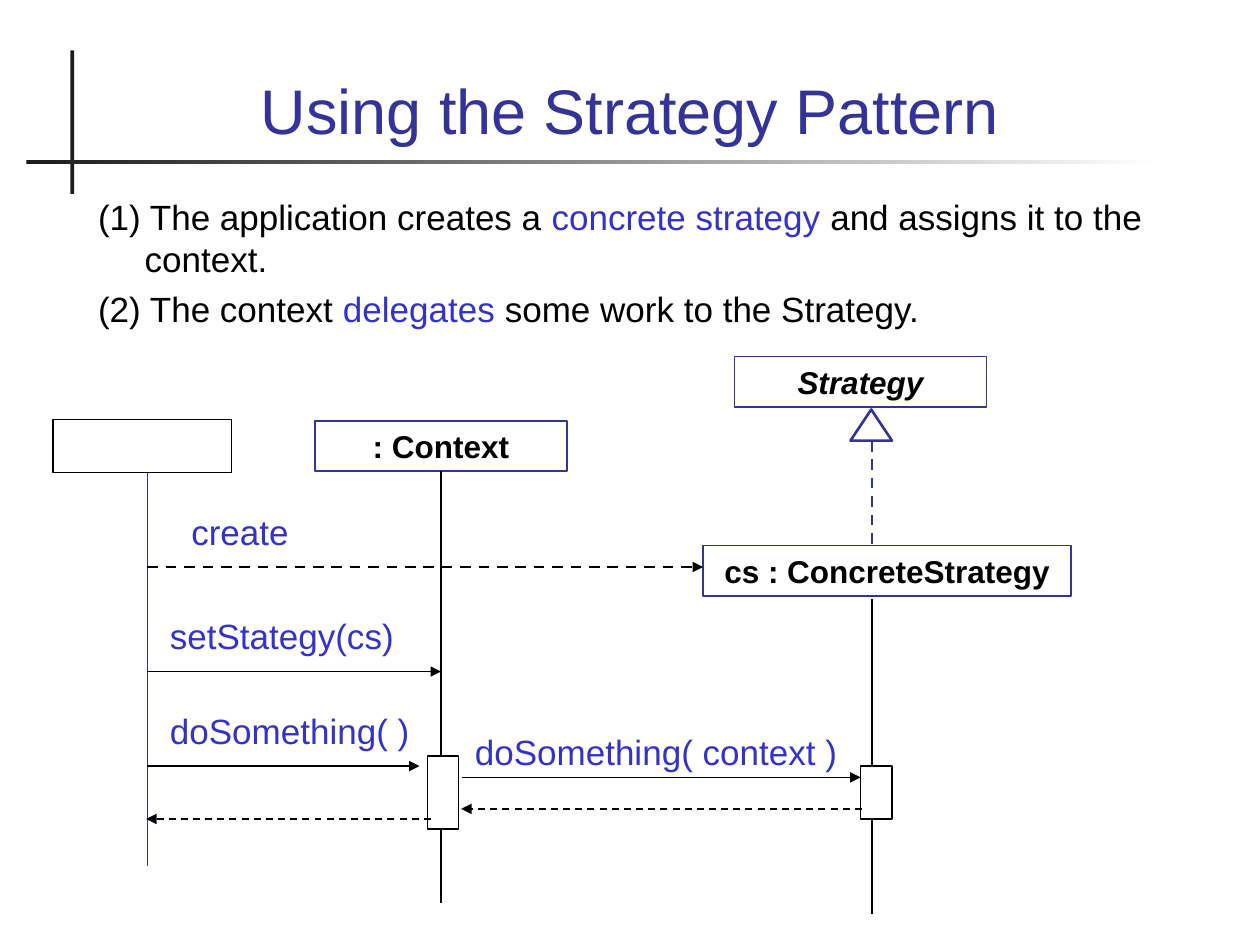
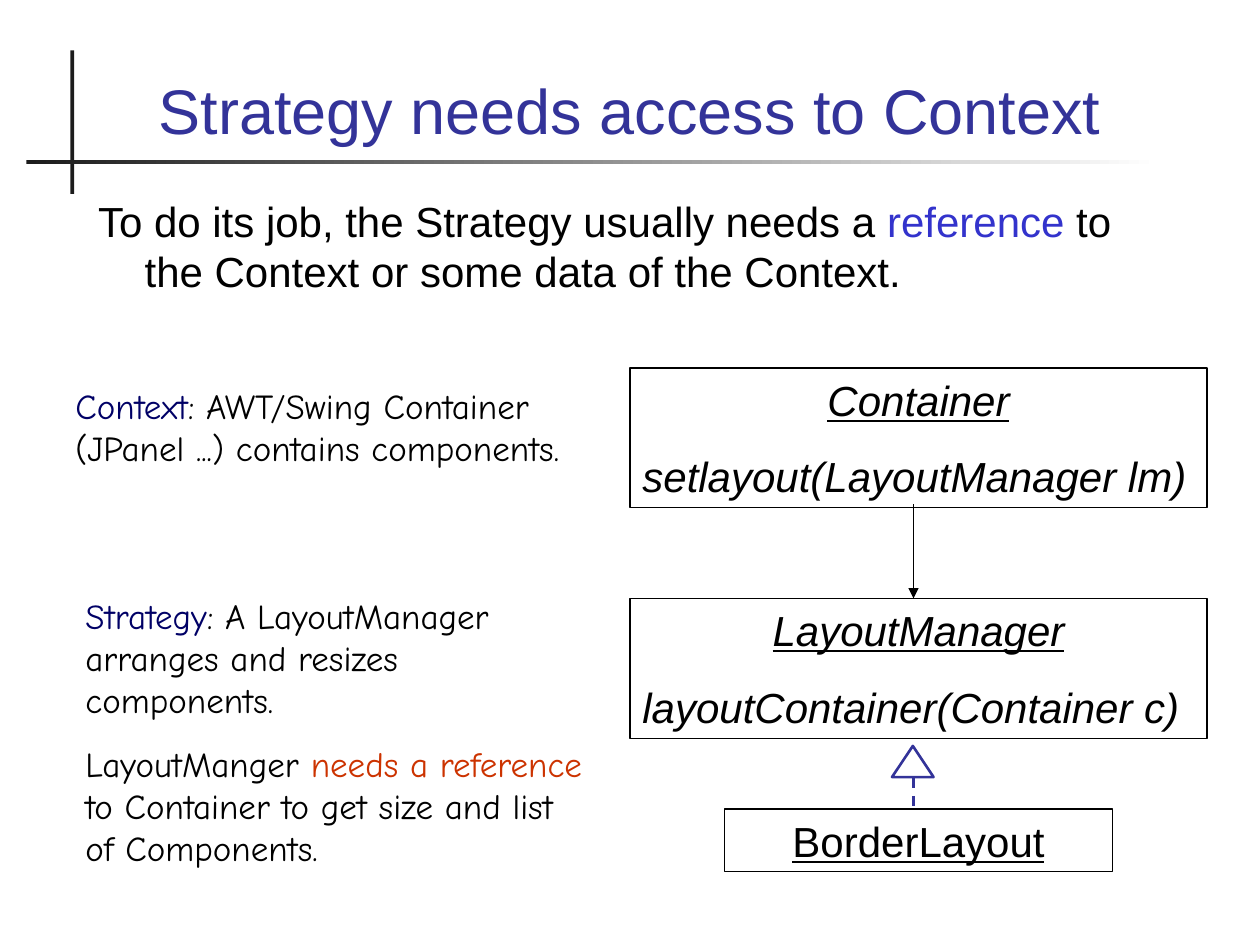
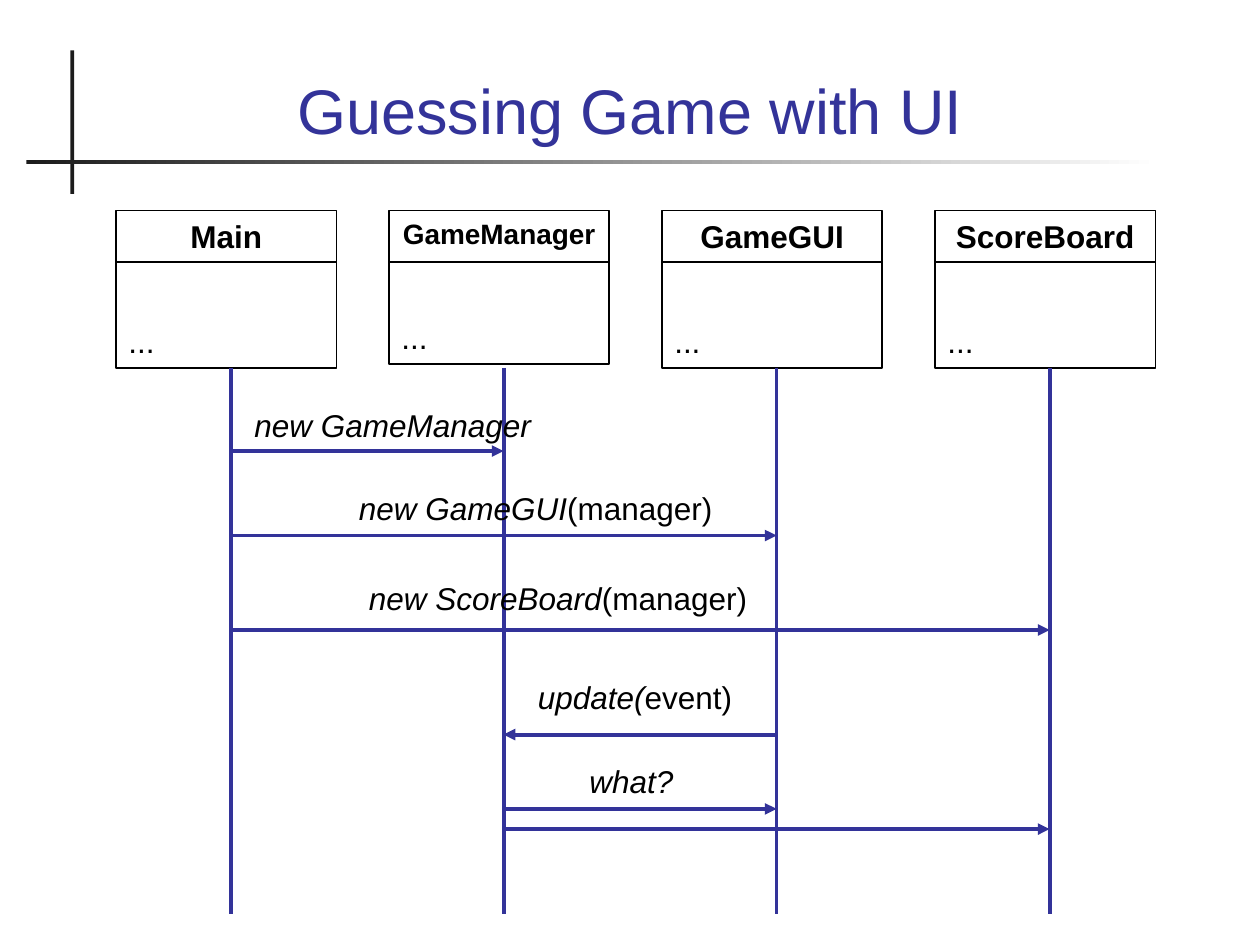
from lxml.etree import SubElement
from pptx import Presentation
from pptx.dml.color import RGBColor
from pptx.enum.dml import MSO_LINE
from pptx.enum.shapes import MSO_CONNECTOR, MSO_SHAPE
from pptx.enum.text import MSO_ANCHOR, PP_ALIGN
from pptx.oxml.ns import qn
from pptx.util import Inches, Pt

BLACK = RGBColor(0x00, 0x00, 0x00)
WHITE = RGBColor(0xFF, 0xFF, 0xFF)
CHARCOAL = RGBColor(0x1C, 0x1C, 0x1C)
INDIGO = RGBColor(0x33, 0x33, 0x99)
BLUE = RGBColor(0x33, 0x33, 0xCC)
NAVY = RGBColor(0x00, 0x00, 0x66)
RED = RGBColor(0xCC, 0x33, 0x00)
SANS = "Arial"
HANDWRITTEN = "Comic Neue"

COLUMN_PITCH = 6.5 / 3
CLASS_LEFT = 0.92
LIFELINE_LEFT = 1.83


def style_run(run, size, font=SANS, color=BLACK, bold=False, italic=False, underline=False):
    """Set the font of one run."""
    run.font.name = font
    run.font.size = Pt(size)
    run.font.color.rgb = color
    run.font.bold = bold
    run.font.italic = italic
    run.font.underline = underline


def write_paragraph(paragraph, pieces, align=PP_ALIGN.LEFT, **style):
    """Fill a paragraph with (text, style changes) pieces that share a style."""
    paragraph.alignment = align
    for text, changes in pieces:
        run = paragraph.add_run()
        run.text = text
        style_run(run, **{**style, **changes})


def plain(text, **changes):
    """Return a paragraph that has a single piece."""
    return [(text, changes)]


def write_paragraphs(text_frame, paragraphs, gap=0, **style):
    """Write paragraphs from the top of a frame with a gap between them."""
    text_frame.word_wrap = True
    text_frame.vertical_anchor = MSO_ANCHOR.TOP
    for index, pieces in enumerate(paragraphs):
        paragraph = text_frame.add_paragraph() if index else text_frame.paragraphs[0]
        if index:
            paragraph.space_before = Pt(gap)
        write_paragraph(paragraph, pieces, **style)


def add_text(slide, left, top, width, height, paragraphs, **style):
    """Add a text box and return its frame."""
    box = slide.shapes.add_textbox(Inches(left), Inches(top), Inches(width), Inches(height))
    write_paragraphs(box.text_frame, paragraphs, **style)
    return box.text_frame


def add_body(slide, height, paragraphs, size):
    """Add the main text with hanging indents."""
    text_frame = add_text(slide, 0.67, 1.5, 8.66, height, paragraphs, gap=5, size=size)
    for paragraph in text_frame.paragraphs:
        properties = paragraph._p.get_or_add_pPr()
        properties.set("marL", str(Inches(0.38)))
        properties.set("indent", str(Inches(-0.37)))


def add_box(slide, left, top, width, height, line=BLACK, weight=0.75, fill=None,
            kind=MSO_SHAPE.RECTANGLE):
    """Add an outlined shape, hollow unless a fill is given."""
    shape = slide.shapes.add_shape(kind, Inches(left), Inches(top), Inches(width), Inches(height))
    shape.shadow.inherit = False
    if fill is None:
        shape.fill.background()
    else:
        shape.fill.solid()
        shape.fill.fore_color.rgb = fill
    if line is None:
        shape.line.fill.background()
    else:
        shape.line.color.rgb = line
        shape.line.width = Pt(weight)
    return shape


def add_object_box(slide, left, top, width, name, italic=False):
    """Add a box that names an object in a sequence diagram."""
    shape = add_box(slide, left, top, width, 0.4, INDIGO, 1)
    write_paragraphs(shape.text_frame, [plain(name)], align=PP_ALIGN.CENTER,
                     size=18, bold=True, italic=italic)
    return shape


def add_type_box(slide, left, top, width, height, name, method=None):
    """Add a box with an underlined type name and an optional method."""
    shape = add_box(slide, left, top, width, height)
    abstract = method is not None
    paragraphs = [plain(name, underline=True)]
    if abstract:
        paragraphs.append(plain(method))
    write_paragraphs(shape.text_frame, paragraphs, gap=15, size=24, italic=abstract)
    shape.text_frame.paragraphs[0].alignment = PP_ALIGN.CENTER


def add_class_box(slide, left, name, size=18, height=1.25):
    """Add a class box with a ruled name and an ellipsis."""
    shape = add_box(slide, left, 1.67, 1.75, height, weight=1)
    write_paragraphs(shape.text_frame, [plain(name, bold=True, size=size), plain("...")],
                     gap=38.7, size=18)
    shape.text_frame.paragraphs[0].alignment = PP_ALIGN.CENTER
    add_line(slide, left, 2.08, left + 1.75, 2.08, weight=1)


def add_line(slide, x1, y1, x2, y2, color=BLACK, weight=0.75, dashed=False, arrow=False):
    """Add a straight line, dashed or with an arrowhead on request."""
    connector = slide.shapes.add_connector(
        MSO_CONNECTOR.STRAIGHT, Inches(x1), Inches(y1), Inches(x2), Inches(y2))
    connector.line.color.rgb = color
    connector.line.width = Pt(weight)
    if dashed:
        connector.line.dash_style = MSO_LINE.DASH
    properties = connector._element.spPr
    if arrow:
        SubElement(properties.find(qn("a:ln")), qn("a:tailEnd"), type="triangle")
    SubElement(properties, qn("a:effectLst"))
    return connector


def add_realization(slide, center, top, bottom):
    """Add a hollow arrowhead on a dashed line."""
    head = add_box(slide, center - 0.17, top, 0.33, 0.25, INDIGO, 1.5, kind=MSO_SHAPE.UP_ARROW)
    head.adjustments[0] = 0
    head.adjustments[1] = 0.99
    add_line(slide, center, top + 0.25, center, bottom, INDIGO, 1.5, dashed=True)


def add_titled_slide(presentation, title):
    """Add a slide with the crossed rules and a title."""
    slide = presentation.slides.add_slide(presentation.slide_layouts[6])
    add_box(slide, 0.56, 0.4, 0.03, 1.14, line=None, fill=CHARCOAL)
    rule = add_box(slide, 0.21, 1.27, 8.99, 0.03, line=None)
    rule.fill.gradient()
    rule.fill.gradient_angle = 0
    for stop, color in zip(rule.fill.gradient_stops, (CHARCOAL, WHITE)):
        stop.color.rgb = color
    text_frame = add_text(slide, 0.67, 0.28, 8.66, 0.94, [plain(title)],
                          align=PP_ALIGN.CENTER, size=36, color=INDIGO)
    text_frame.vertical_anchor = MSO_ANCHOR.BOTTOM
    return slide


def add_pattern_slide(presentation):
    """Add the sequence diagram of the pattern."""
    slide = add_titled_slide(presentation, "Using the Strategy Pattern")
    add_body(slide, 2.33, [
        [("(1) The application creates a ", {}), ("concrete strategy", {"color": BLUE}),
         (" and assigns it to the context.", {})],
        [("(2) The context ", {}), ("delegates", {"color": BLUE}),
         (" some work to the Strategy.", {})],
    ], size=20)
    context = add_object_box(slide, 2.5, 3.34, 2, ": Context")
    add_object_box(slide, 5.83, 2.83, 2, "Strategy", italic=True)
    add_object_box(slide, 5.58, 4.33, 2.92, "cs : ConcreteStrategy")
    add_realization(slide, 6.92, 3.25, 4.33)

    add_line(slide, 1.17, 3.75, 1.17, 6.87, INDIGO, 1)
    context_lifeline = add_line(slide, 3.5, 3.74, 3.5, 7.17)
    context_lifeline.begin_connect(context, 2)
    add_line(slide, 6.92, 4.75, 6.92, 7.25)

    add_line(slide, 1.17, 4.5, 5.58, 4.5, weight=1.5, dashed=True, arrow=True)
    for start, end, y in ((1.17, 3.5, 5.33), (1.17, 3.33, 6.08), (3.67, 6.83, 6.17)):
        add_line(slide, start, y, end, y, weight=1, arrow=True)
    for left, top, width, message in (
        (1.42, 4, 2, "create"),
        (1.25, 4.83, 2, "setStategy(cs)"),
        (1.25, 5.58, 2.17, "doSomething( )"),
        (3.67, 5.75, 3.25, "doSomething( context )"),
    ):
        add_text(slide, left, top, width, 0.44, [plain(message)], size=20, color=BLUE)

    add_box(slide, 6.83, 6.08, 0.25, 0.42, fill=WHITE)
    add_box(slide, 3.39, 6, 0.25, 0.58, fill=WHITE)
    for start, end, y in ((6.84, 3.66, 6.42), (3.42, 1.16, 6.5)):
        add_line(slide, start, y, end, y, weight=1, dashed=True, arrow=True)
    add_box(slide, 0.42, 3.33, 1.42, 0.42, fill=WHITE)


def add_access_slide(presentation):
    """Add the layout manager example."""
    slide = add_titled_slide(presentation, "Strategy needs access to Context")
    add_body(slide, 1.75, [
        [("To do its job, the Strategy usually needs a ", {}), ("reference", {"color": BLUE}),
         (" to the Context or some data of the Context.", {})],
    ], size=24)
    add_type_box(slide, 5, 4.75, 4.58, 1.11, "LayoutManager", "layoutContainer(Container c)")
    add_type_box(slide, 5, 2.92, 4.58, 1.11, "Container", "setlayout(LayoutManager lm)")
    add_text(slide, 0.5, 3, 4.17, 0.77, [
        [("Context", {"color": NAVY}),
         (": AWT/Swing Container (JPanel ...) contains components.", {})],
    ], size=20, font=HANDWRITTEN)
    add_text(slide, 0.58, 4.67, 4.17, 2.28, [
        [("Strategy", {"color": NAVY}),
         (": A LayoutManager arranges and resizes components.", {})],
        [("LayoutManger ", {}), ("needs a reference", {"color": RED}),
         (" to Container to get size and list of Components.", {})],
    ], gap=12.5, size=20, font=HANDWRITTEN)
    add_line(slide, 7.25, 4, 7.25, 4.75, arrow=True)
    add_realization(slide, 7.25, 5.92, 6.42)
    add_type_box(slide, 5.75, 6.42, 3.08, 0.5, "BorderLayout")


def add_game_slide(presentation):
    """Add the sequence diagram of the guessing game."""
    slide = add_titled_slide(presentation, "Guessing Game with UI")
    classes = (("Main", 18, 1.25), ("GameManager", 16, 1.22),
               ("GameGUI", 18, 1.25), ("ScoreBoard", 18, 1.25))
    lifelines = [LIFELINE_LEFT + column * COLUMN_PITCH for column in range(len(classes))]
    for column, (name, size, height) in enumerate(classes):
        add_class_box(slide, CLASS_LEFT + column * COLUMN_PITCH, name, size, height)
    for x in lifelines:
        add_line(slide, x, 2.92, x, 7.25, INDIGO, 2.25)

    main_line, manager, gui, board = lifelines
    for start, end, y in (
        (main_line, manager, 3.58), (main_line, gui, 4.25), (main_line, board, 5),
        (gui, manager, 5.83), (manager, gui, 6.42), (manager, board, 6.58),
    ):
        add_line(slide, start, y, end, y, INDIGO, 2.25, arrow=True)

    upright = {"italic": False}
    for left, top, width, pieces in (
        (1.92, 3.17, 2.6, plain("new GameManager")),
        (2.75, 3.83, 3.2, [("new GameGUI", {}), ("(manager)", upright)]),
        (2.83, 4.55, 3.4, [("new ScoreBoard", {}), ("(manager)", upright)]),
        (4.17, 5.33, 1.9, [("update(", {}), ("event)", upright)]),
        (4.58, 6, 1.05, plain("what?")),
    ):
        add_text(slide, left, top, width, 0.4, [pieces], size=18, italic=True)


def main():
    """Build the presentation and save it."""
    presentation = Presentation()
    presentation.slide_width = Inches(10)
    presentation.slide_height = Inches(7.5)
    add_pattern_slide(presentation)
    add_access_slide(presentation)
    add_game_slide(presentation)
    presentation.save("out.pptx")


if __name__ == "__main__":
    main()
